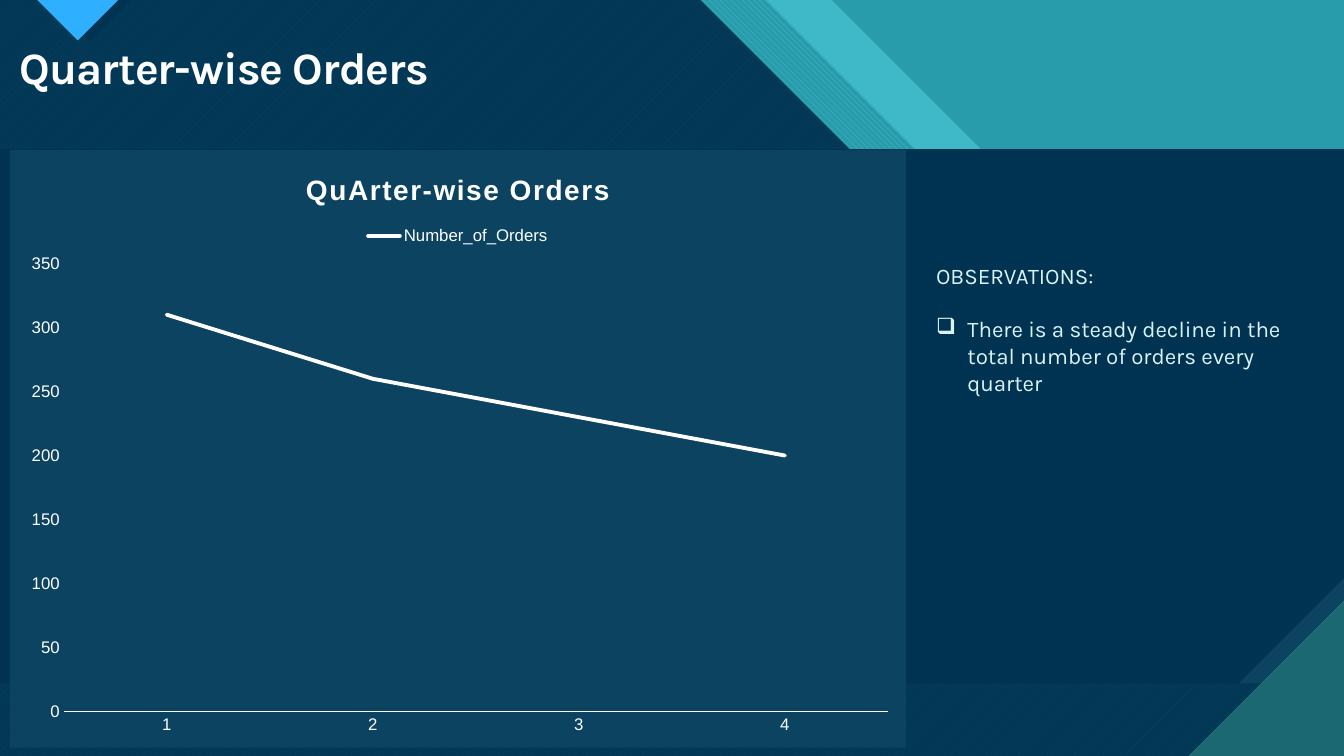
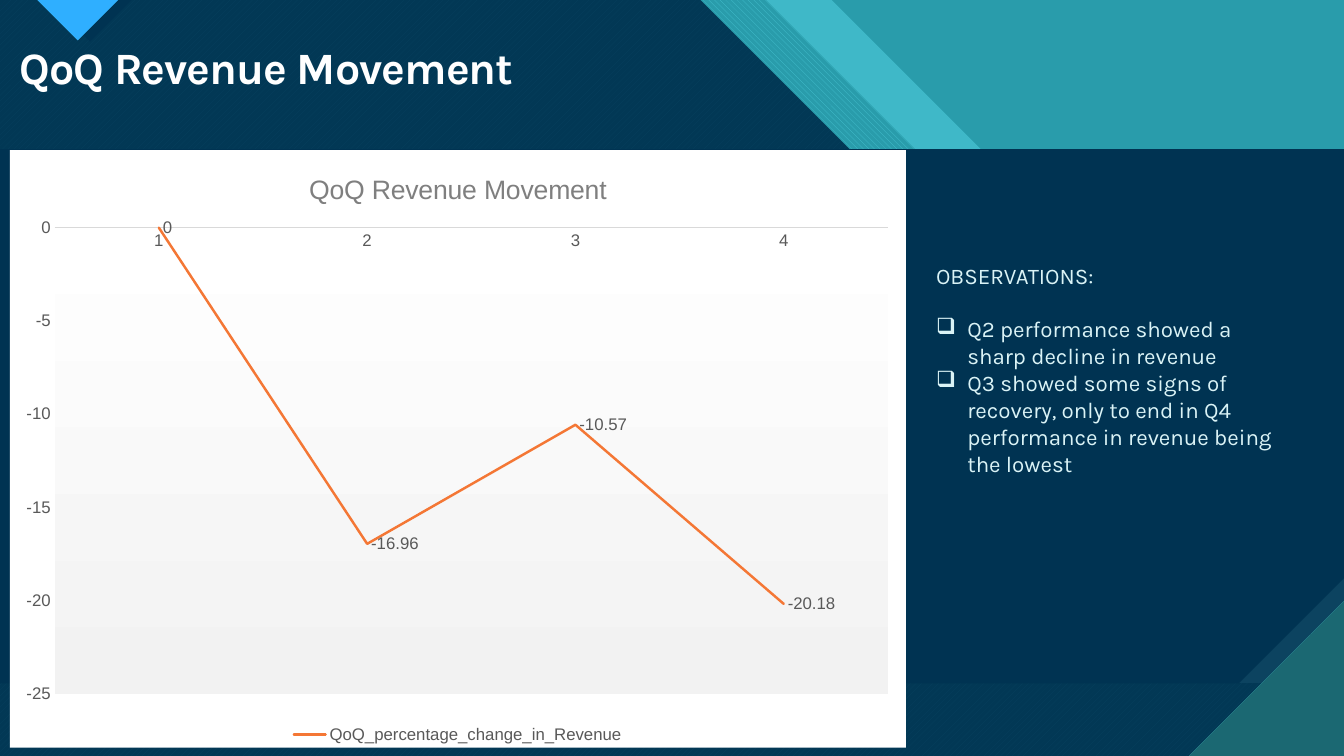
from dataclasses import dataclass, field
from typing import Optional

from pptx import Presentation
from pptx.chart.data import CategoryChartData
from pptx.dml.color import RGBColor
from pptx.enum.chart import XL_CHART_TYPE as ChartType
from pptx.enum.chart import XL_LABEL_POSITION as LabelPosition
from pptx.enum.chart import XL_LEGEND_POSITION as LegendPosition
from pptx.enum.chart import XL_TICK_MARK as TickMark
from pptx.enum.dml import MSO_PATTERN as Pattern
from pptx.enum.text import MSO_ANCHOR as Anchor
from pptx.enum.text import MSO_AUTO_SIZE as AutoSize
from pptx.oxml import parse_xml
from pptx.oxml.ns import nsdecls, qn
from pptx.util import Cm, Pt


@dataclass(frozen=True)
class Theme:
    teal: str = "299CAB"
    aqua: str = "47C3D3"
    pine: str = "1B6872"
    navy: str = "003352"
    steel: str = "0C4360"
    sky: str = "2FAFFF"
    white: str = "FFFFFF"
    mist: str = "DAF3F6"
    orange: str = "F47735"
    gray: str = "595959"
    title_gray: str = "7F7F7F"
    rule_gray: str = "D9D9D9"
    pale_gray: str = "F2F2F2"
    font: str = "Karla"
    chart_font: str = "Arial"
    title_size: float = 32
    body_size: float = 16
    chart_size: float = 12


THEME = Theme()

# Page geometry, in centimetres
WIDTH, HEIGHT = 33.87, 19.05
PANEL_TOP, PANEL_BOTTOM, PANEL_CUT = 3.76, 17.22, 2.65
BAND_DROP = 7.54
CORNER = 3.91

Points = list[tuple[float, float]]


@dataclass(frozen=True)
class Outline:
    """A filled outline of the shared backdrop."""
    points: Points
    color: str
    back: str = ""
    pattern: Optional[Pattern] = None
    opacity: int = 100


@dataclass(frozen=True)
class LineChart:
    """Values and look of one line chart."""
    title: str
    series: str
    values: list[float]
    plot_box: tuple[float, float, float, float]
    line_color: str
    line_width: float
    text_color: str
    fill: str
    title_color: str
    title_size: float
    axis_color: str
    axis_width: float
    legend: LegendPosition
    title_bold: bool = False
    title_spacing: float = 0
    labels: bool = False
    plot_gradient: Optional[tuple[str, str]] = None


@dataclass(frozen=True)
class Report:
    """One slide: title, chart and observations."""
    title: str
    chart: LineChart
    observations: list[str] = field(default_factory=list)


def band(edge: float) -> Points:
    """Area left of a 45 degree edge that starts at the top of the page."""
    return [(0, 0), (edge, 0), (edge + BAND_DROP, BAND_DROP),
            (WIDTH, BAND_DROP), (WIDTH, HEIGHT), (0, HEIGHT)]


def pointer(left: float, size: float) -> Points:
    return [(left, 0), (left + 2 * size, 0), (left + size, size)]


def panel(cut: float) -> Points:
    return [(0, PANEL_TOP), (WIDTH, PANEL_TOP), (WIDTH, PANEL_BOTTOM - cut),
            (WIDTH - cut, PANEL_BOTTOM), (0, PANEL_BOTTOM)]


BACKDROP = [
    # Slanted bands
    Outline(band(20.96), THEME.aqua, opacity=74),
    Outline(band(19.3), THEME.aqua, THEME.teal, Pattern.WIDE_DOWNWARD_DIAGONAL),
    Outline(band(17.65), THEME.aqua, THEME.pine, Pattern.WIDE_UPWARD_DIAGONAL),
    Outline(band(17.65), THEME.navy, opacity=90),
    # Pointer above the title, with its dark side
    Outline(pointer(1.22, 1.05), THEME.navy),
    Outline(pointer(0.94, 1.02), THEME.sky, THEME.pine, Pattern.DARK_HORIZONTAL),
    # Content panel and corner
    Outline(panel(0), THEME.steel, THEME.pine, Pattern.DARK_VERTICAL),
    Outline(panel(PANEL_CUT), THEME.navy),
    Outline([(WIDTH - CORNER, HEIGHT), (WIDTH, HEIGHT), (WIDTH, HEIGHT - CORNER)],
            THEME.pine, THEME.aqua, Pattern.DARK_HORIZONTAL),
]

REPORTS = [
    Report(
        "Quarter-wise Orders",
        LineChart("QuArter-wise Orders", "Number_of_Orders", [310, 260, 230, 200],
                  (0.06, 0.19, 0.92, 0.75), THEME.white, 2.75, THEME.white,
                  THEME.steel, THEME.white, 20, THEME.white, 1, LegendPosition.TOP,
                  title_bold=True, title_spacing=1),
        ["There is a steady decline in the total number of orders every quarter"]),
    Report(
        "QoQ Revenue Movement",
        LineChart("QoQ Revenue Movement", "QoQ_percentage_change_in_Revenue",
                  [0, -16.96, -10.57, -20.18], (0.05, 0.13, 0.93, 0.78),
                  THEME.orange, 1.75, THEME.gray, THEME.white, THEME.title_gray, 19,
                  THEME.rule_gray, 0.75, LegendPosition.BOTTOM, labels=True,
                  plot_gradient=(THEME.white, THEME.pale_gray)),
        ["Q2 performance showed a sharp decline in revenue",
         "Q3 showed some signs of recovery, only to end in Q4 performance in "
         "revenue being the lowest"]),
]


def rgb(color: str) -> RGBColor:
    return RGBColor.from_string(color)


def style_font(font, *, size: float, color: str, name: str, bold: bool = False) -> None:
    font.size, font.name, font.bold = Pt(size), name, bold
    font.color.rgb = rgb(color)


# Shared backdrop
def draw_outline(page, outline: Outline):
    start, *rest = [(Cm(x), Cm(y)) for x, y in outline.points]
    builder = page.shapes.build_freeform(*start)
    builder.add_line_segments(rest, close=True)
    shape = builder.convert_to_shape()
    shape.shadow.inherit = False
    shape.line.fill.background()
    if outline.pattern is not None:
        shape.fill.patterned()
        shape.fill.pattern = outline.pattern
        shape.fill.back_color.rgb = rgb(outline.back)
    else:
        shape.fill.solid()
    shape.fill.fore_color.rgb = rgb(outline.color)
    if outline.opacity < 100:
        shape.element.find(".//" + qn("a:srgbClr")).append(parse_xml(
            f'<a:alpha {nsdecls("a")} val="{outline.opacity * 1000}"/>'))
    return shape


def build_layout(layout, page) -> None:
    """Draw the backdrop on a page and hand it over to the layout."""
    layout.background.fill.solid()
    layout.background.fill.fore_color.rgb = rgb(THEME.teal)
    tree = layout.shapes.element
    for placeholder in list(layout.placeholders):
        tree.remove(placeholder.element)
    for shape in [draw_outline(page, outline) for outline in BACKDROP]:
        tree.append(shape.element)


# Text
def add_box(page, left: float, top: float, width: float, height: float,
            anchor: Anchor = Anchor.TOP):
    box = page.shapes.add_textbox(Cm(left), Cm(top), Cm(width), Cm(height))
    box.text_frame.word_wrap = True
    box.text_frame.auto_size = AutoSize.SHAPE_TO_FIT_TEXT
    box.text_frame.vertical_anchor = anchor
    return box


def write(para, text: str, *, size: float, color: str, name: str = THEME.font,
          bold: bool = False, spacing: float = 0, line_spacing: float = 1,
          after: float = 0, bullet: str = "") -> None:
    para.line_spacing = line_spacing
    para.space_after = Pt(after)
    span = para.add_run()
    span.text = text
    style_font(span.font, size=size, color=color, name=name, bold=bold)
    if spacing:
        span.font._element.set("spc", str(round(spacing * 100)))
    if bullet:
        properties = para._p.get_or_add_pPr()
        indent = Cm(0.79)
        properties.set("marL", str(indent))
        properties.set("indent", str(-indent))
        properties.append(parse_xml(f'<a:buChar {nsdecls("a")} char="{bullet}"/>'))


def draw_title(page, text: str) -> None:
    box = add_box(page, 0.25, 1.02, 31.14, 1.5, Anchor.MIDDLE)
    write(box.text_frame.paragraphs[0], text, size=THEME.title_size,
          color=THEME.white, bold=True, spacing=-0.7, line_spacing=0.9)


def draw_observations(page, observations: list[str]) -> None:
    box = add_box(page, 23.34, 6.48, 9.45, 4.37)
    look = dict(size=THEME.body_size, color=THEME.mist)
    write(box.text_frame.paragraphs[0], "OBSERVATIONS:", after=19, **look)
    for text in observations:
        write(box.text_frame.add_paragraph(), text, bullet="❑", **look)


# Chart
def solid_xml(color: str) -> str:
    return f'<a:solidFill><a:srgbClr val="{color}"/></a:solidFill>'


def style_areas(chart, look: LineChart) -> None:
    """Fill the chart and plot areas and fix the inner plot box."""
    space = chart.element
    space.find(qn("c:chart")).addnext(parse_xml(
        f'<c:spPr {nsdecls("c", "a")}>{solid_xml(look.fill)}'
        '<a:ln><a:noFill/></a:ln></c:spPr>'))
    plot_area = space.find(".//" + qn("c:plotArea"))
    for old in plot_area.findall(qn("c:layout")):
        plot_area.remove(old)
    modes = "".join(f'<c:{key}Mode val="edge"/>' for key in "xy")
    sizes = "".join(f'<c:{key} val="{value}"/>'
                    for key, value in zip("xywh", look.plot_box))
    plot_area.insert(0, parse_xml(
        f'<c:layout {nsdecls("c")}><c:manualLayout><c:layoutTarget val="inner"/>'
        f'{modes}{sizes}</c:manualLayout></c:layout>'))
    if look.plot_gradient:
        stops = "".join(f'<a:gs pos="{pos}"><a:srgbClr val="{color}"/></a:gs>'
                        for pos, color in zip((0, 100000), look.plot_gradient))
        plot_area.append(parse_xml(
            f'<c:spPr {nsdecls("c", "a")}><a:gradFill><a:gsLst>{stops}</a:gsLst>'
            '<a:lin ang="5400000" scaled="0"/></a:gradFill></c:spPr>'))


def draw_chart(page, look: LineChart) -> None:
    data = CategoryChartData()
    data.categories = ["1", "2", "3", "4"]
    data.add_series(look.series, look.values)
    chart = page.shapes.add_chart(ChartType.LINE, Cm(0.25), Cm(3.78),
                                  Cm(22.58), Cm(15.06), data).chart
    text = dict(size=THEME.chart_size, color=look.text_color, name=THEME.chart_font)
    style_font(chart.font, **text)

    chart.has_title = True
    chart.chart_title.include_in_layout = False
    write(chart.chart_title.text_frame.paragraphs[0], look.title,
          size=look.title_size, color=look.title_color, name=THEME.chart_font,
          bold=look.title_bold, spacing=look.title_spacing)

    chart.has_legend = True
    chart.legend.position = look.legend
    chart.legend.include_in_layout = False
    style_font(chart.legend.font, **text)

    for axis in (chart.category_axis, chart.value_axis):
        axis.has_major_gridlines = False
        axis.major_tick_mark = axis.minor_tick_mark = TickMark.NONE
        style_font(axis.tick_labels.font, **text)
    chart.value_axis.format.line.fill.background()
    axis_line = chart.category_axis.format.line
    axis_line.color.rgb, axis_line.width = rgb(look.axis_color), Pt(look.axis_width)

    plot = chart.plots[0]
    plot.vary_by_categories = False
    series = plot.series[0]
    series.smooth = False
    series.format.line.color.rgb = rgb(look.line_color)
    series.format.line.width = Pt(look.line_width)
    series.format.line._get_or_add_ln().set("cap", "rnd")
    if look.labels:
        labels = series.data_labels
        labels.show_value = True
        labels.position = LabelPosition.RIGHT
        style_font(labels.font, **text)
    style_areas(chart, look)


def main() -> None:
    deck = Presentation()
    deck.slide_width, deck.slide_height = Cm(WIDTH), Cm(HEIGHT)
    layout = deck.slide_layouts[6]
    pages = [deck.slides.add_slide(layout) for _ in REPORTS]
    build_layout(layout, pages[0])
    for page, report in zip(pages, REPORTS):
        draw_title(page, report.title)
        draw_chart(page, report.chart)
        draw_observations(page, report.observations)
    deck.save("out.pptx")


if __name__ == "__main__":
    main()
